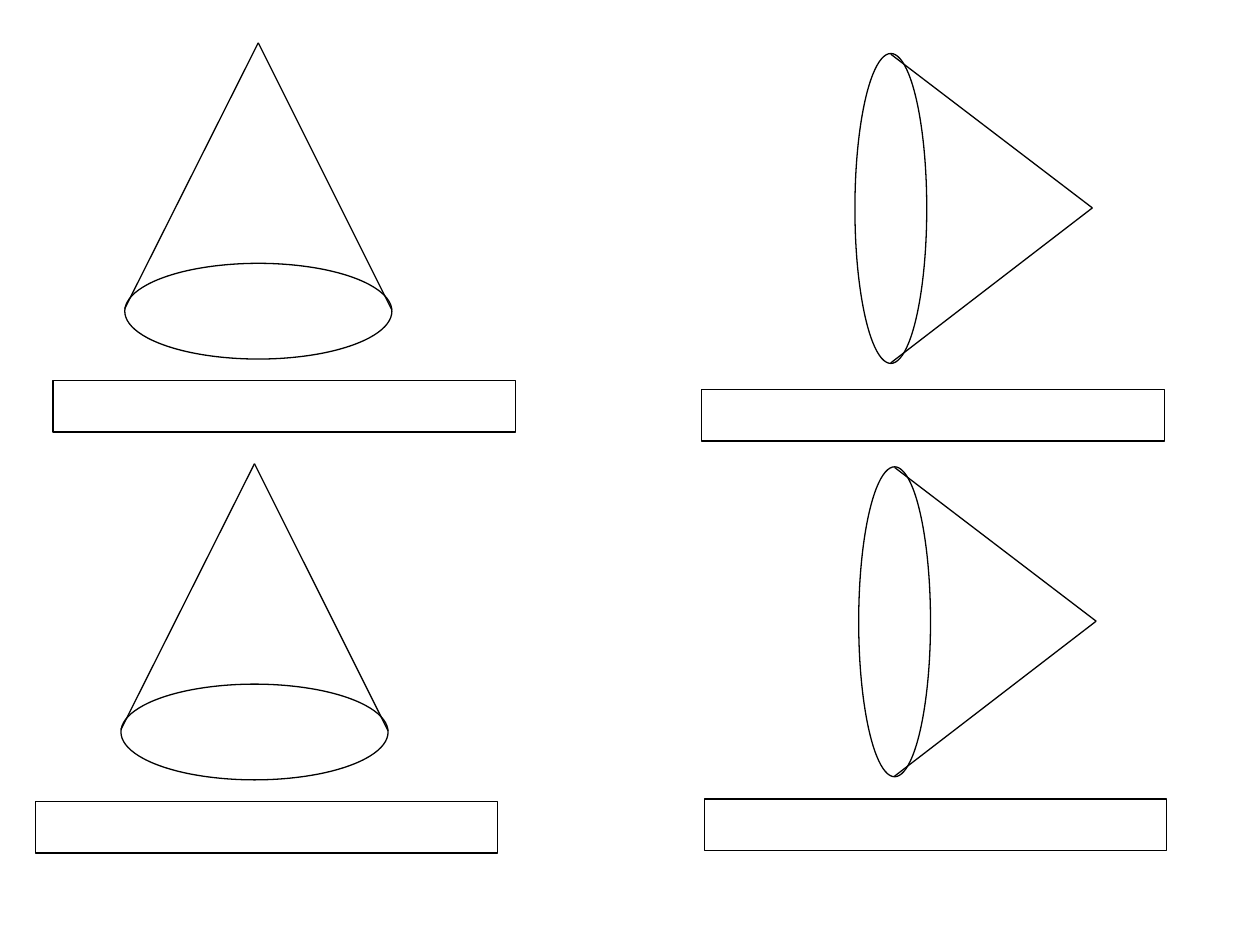
from pptx import Presentation
from pptx.dml.color import RGBColor
from pptx.enum.shapes import MSO_CONNECTOR, MSO_SHAPE
from pptx.oxml.ns import qn
from pptx.util import Inches, Pt
from lxml.etree import SubElement

COLORS = {"line": "000000"}

prs = Presentation()
prs.slide_width, prs.slide_height = Inches(10), Inches(7.5)
s = prs.slides.add_slide(prs.slide_layouts[6])


def set_line(sp):
    sp.line.color.rgb = RGBColor.from_string(COLORS["line"])
    sp.line.width = Pt(0.75)


def add_outline(shapes, kind, x, y, w, h):
    sp = shapes.add_shape(kind, Inches(x), Inches(y), Inches(w), Inches(h))
    sp.shadow.inherit = False
    sp.fill.background()
    set_line(sp)
    return sp


upright = {"size": (2.12, 0.76), "rotation": 0,
           "apex": (1.06, -1.75), "rim": [(0, 0.36), (2.12, 0.37)]}
sideways = {"size": (2.46, 0.57), "rotation": 90,
            "apex": (2.83, 0.28), "rim": [(1.23, -0.94), (1.23, 1.51)]}

cones = [(upright, 0.99, 2.09), (sideways, 5.84, 1.37),
         (upright, 0.96, 5.43), (sideways, 5.87, 4.65)]
for cone, x, y in cones:
    group = s.shapes.add_group_shape()
    base = add_outline(group.shapes, MSO_SHAPE.OVAL, x, y, *cone["size"])
    base.rotation = cone["rotation"]
    apex_x, apex_y = cone["apex"]
    for rim_x, rim_y in cone["rim"]:
        side = group.shapes.add_connector(
            MSO_CONNECTOR.STRAIGHT, Inches(x + rim_x), Inches(y + rim_y),
            Inches(x + apex_x), Inches(y + apex_y))
        set_line(side)
        SubElement(side._element.spPr, qn("a:effectLst"))

for x, y in [(0.42, 3.02), (5.57, 3.09), (0.28, 6.36), (5.59, 6.34)]:
    add_outline(s.shapes, MSO_SHAPE.RECTANGLE, x, y, 3.67, 0.41)

prs.save("out.pptx")
